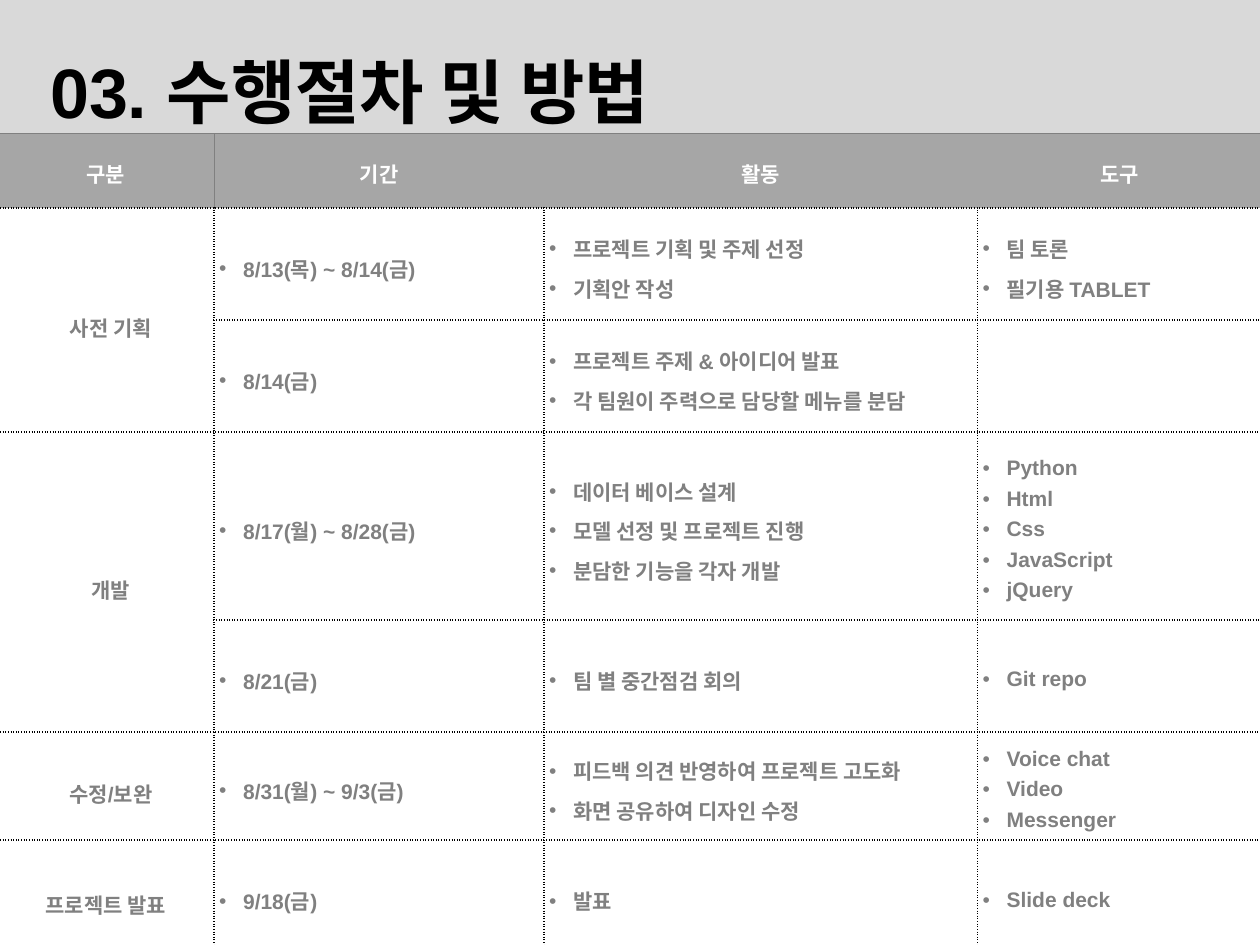
"""Build the slide on project steps and methods."""
from lxml import etree
from pptx import Presentation
from pptx.dml.color import RGBColor
from pptx.enum.shapes import MSO_SHAPE
from pptx.enum.text import MSO_ANCHOR, PP_ALIGN
from pptx.oxml.ns import qn
from pptx.util import Inches, Pt

RECT = MSO_SHAPE.RECTANGLE
MIDDLE = MSO_ANCHOR.MIDDLE
CENTER = PP_ALIGN.CENTER
LEFT = PP_ALIGN.LEFT
DOT = ("000000", 1, "sysDot")
SOLID = ("808080", 0.5, "solid")


def style(font, size, color):
    for key, val in {"name": "Arial", "size": Pt(size), "bold": True}.items():
        setattr(font, key, val)
    font.color.rgb = RGBColor.from_string(color)


def border(cell, side, line):
    props = cell._tc.get_or_add_tcPr()
    edge = etree.SubElement(props, qn("a:ln" + side))
    if line is None:
        etree.SubElement(edge, qn("a:noFill"))
        return
    color, width, dash = line
    edge.set("w", str(Pt(width)))
    fill = etree.SubElement(edge, qn("a:solidFill"))
    etree.SubElement(fill, qn("a:srgbClr"), val=color)
    etree.SubElement(edge, qn("a:prstDash"), val=dash)


prs = Presentation()
prs.slide_width, prs.slide_height = Inches(10), Inches(7.5)
slide = prs.slides.add_slide(prs.slide_layouts[6])

band = slide.shapes.add_shape(RECT, 0, 0, Inches(10), Inches(1.39))
band.shadow.inherit = False
band.fill.solid()
band.fill.fore_color.rgb = RGBColor.from_string("D9D9D9")
band.line.fill.background()

title = slide.shapes.add_textbox(Inches(0.3), Inches(0.41), Inches(7.54), Inches(0.61))
frame = title.text_frame
frame.word_wrap = True
frame.vertical_anchor = MIDDLE
frame.text = "03. 수행절차 및 방법"
style(frame.paragraphs[0].font, 40, "000000")

rows = [
    ("구분", "기간", "활동", "도구"),
    ("사전 기획", "8/13(목) ~ 8/14(금)", "프로젝트 기획 및 주제 선정\n기획안 작성",
     "팀 토론\n필기용 TABLET"),
    ("", "8/14(금)", "프로젝트 주제 & 아이디어 발표\n각 팀원이 주력으로 담당할 메뉴를 분담", ""),
    ("개발", "8/17(월) ~ 8/28(금)",
     "데이터 베이스 설계\n모델 선정 및 프로젝트 진행\n분담한 기능을 각자 개발",
     "Python\nHtml\nCss\nJavaScript\njQuery"),
    ("", "8/21(금)", "팀 별 중간점검 회의", "Git repo"),
    ("수정/보완", "8/31(월) ~ 9/3(금)", "피드백 의견 반영하여 프로젝트 고도화\n화면 공유하여 디자인 수정",
     "Voice chat\nVideo\nMessenger"),
    ("프로젝트 발표", "9/18(금)", "발표", "Slide deck"),
]
wide = [1.72, 2.62, 3.44, 2.26]
high = [0.59, 0.89, 0.89, 1.49, 0.89, 0.86, 0.89]
last = len(rows) - 1
table = slide.shapes.add_table(len(rows), len(wide), Inches(-0.02), Inches(1.06),
                               Inches(sum(wide)), Inches(sum(high))).table
table.horz_banding = False
table.first_row = False
for col, size in zip(table.columns, wide):
    col.width = Inches(size)
for row, size in zip(table.rows, high):
    row.height = Inches(size)
for top in (1, 3):
    table.cell(top, 0).merge(table.cell(top + 1, 0))

for r, row in enumerate(rows):
    head = r == 0
    for c, text in enumerate(row):
        cell = table.cell(r, c)
        inner = None if head else DOT
        split = SOLID if head else DOT
        border(cell, "L", None if c == 0 else split if c == 1 else inner)
        border(cell, "R", None if c == 3 else split if c == 0 else inner)
        border(cell, "T", SOLID if head else DOT)
        border(cell, "B", SOLID if r == last else DOT)
        if head:
            cell.fill.solid()
            cell.fill.fore_color.rgb = RGBColor.from_string("A6A6A6")
        else:
            cell.fill.background()
        pad = 0 if head or (c == 0 and r == last) else 0.08 if c == 0 else 0.04
        form = {"margin_left": Inches(pad), "margin_right": 0, "margin_top": 0,
                "margin_bottom": 0, "vertical_anchor": MIDDLE}
        for key, val in form.items():
            setattr(cell, key, val)
        if not text:
            continue
        cell.text = text
        mid = head or c == 0
        for para in cell.text_frame.paragraphs:
            para.alignment = CENTER if mid else LEFT
            para.line_spacing = 1.2 if head else 1.5 if c == 0 else 1.3
            if not mid:
                props = para._p.get_or_add_pPr()
                props.set("marL", str(Inches(0.19)))
                props.set("indent", str(Inches(-0.19)))
                etree.SubElement(props, qn("a:buFont"), typeface="Arial")
                etree.SubElement(props, qn("a:buChar"), char="•")
            for run in para.runs:
                style(run.font, 12, "FFFFFF" if head else "808080")

prs.save("out.pptx")
